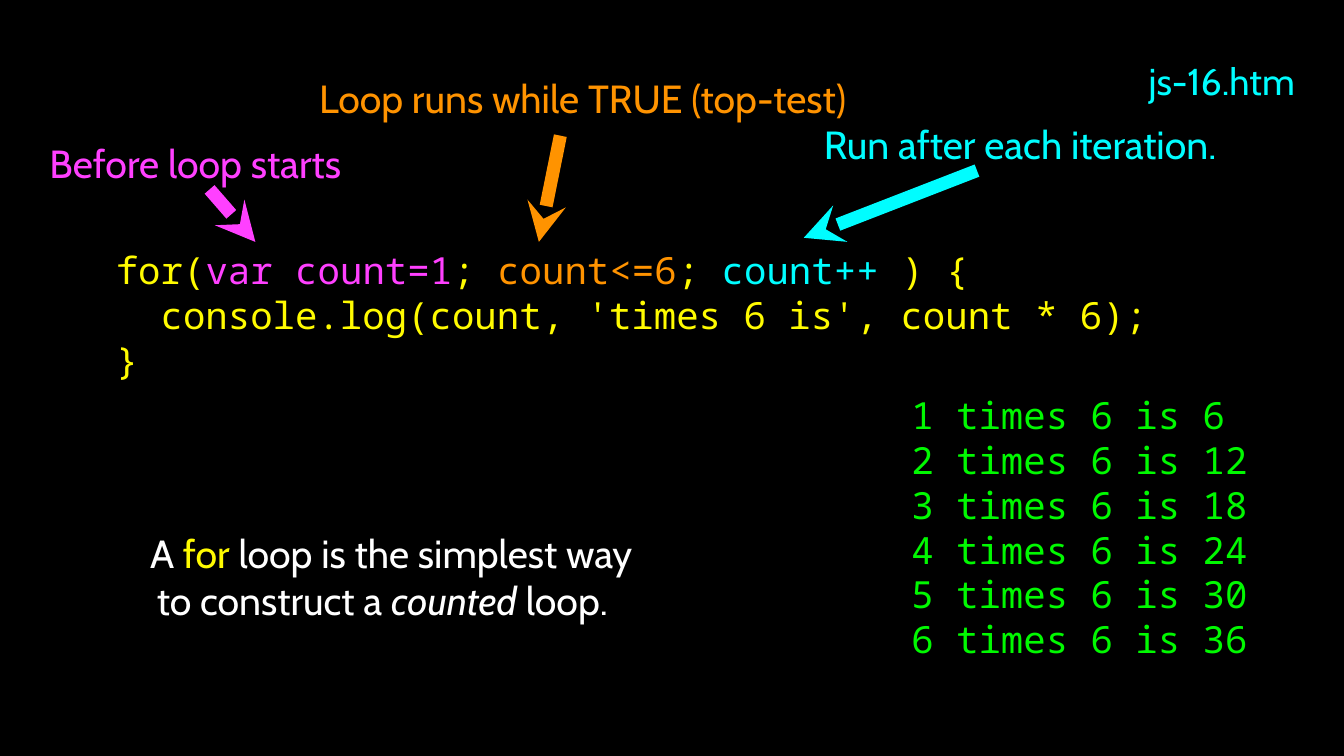
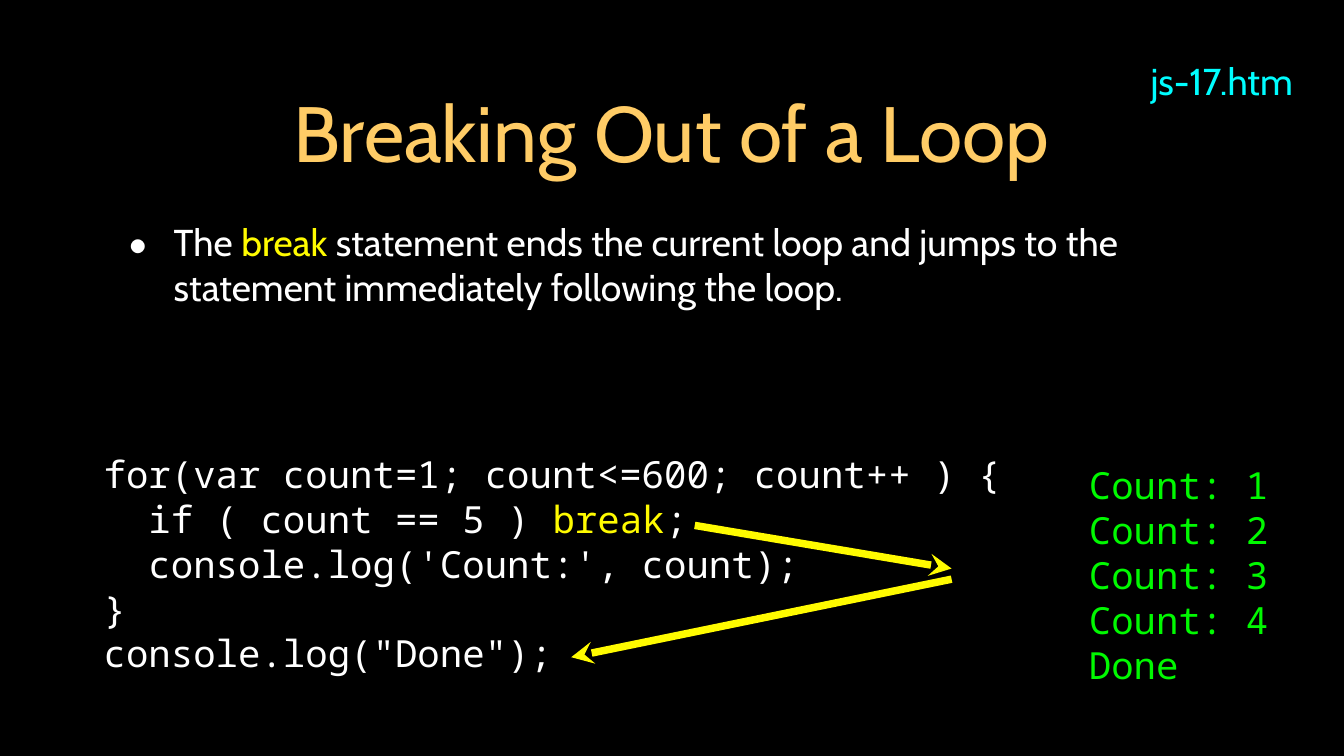
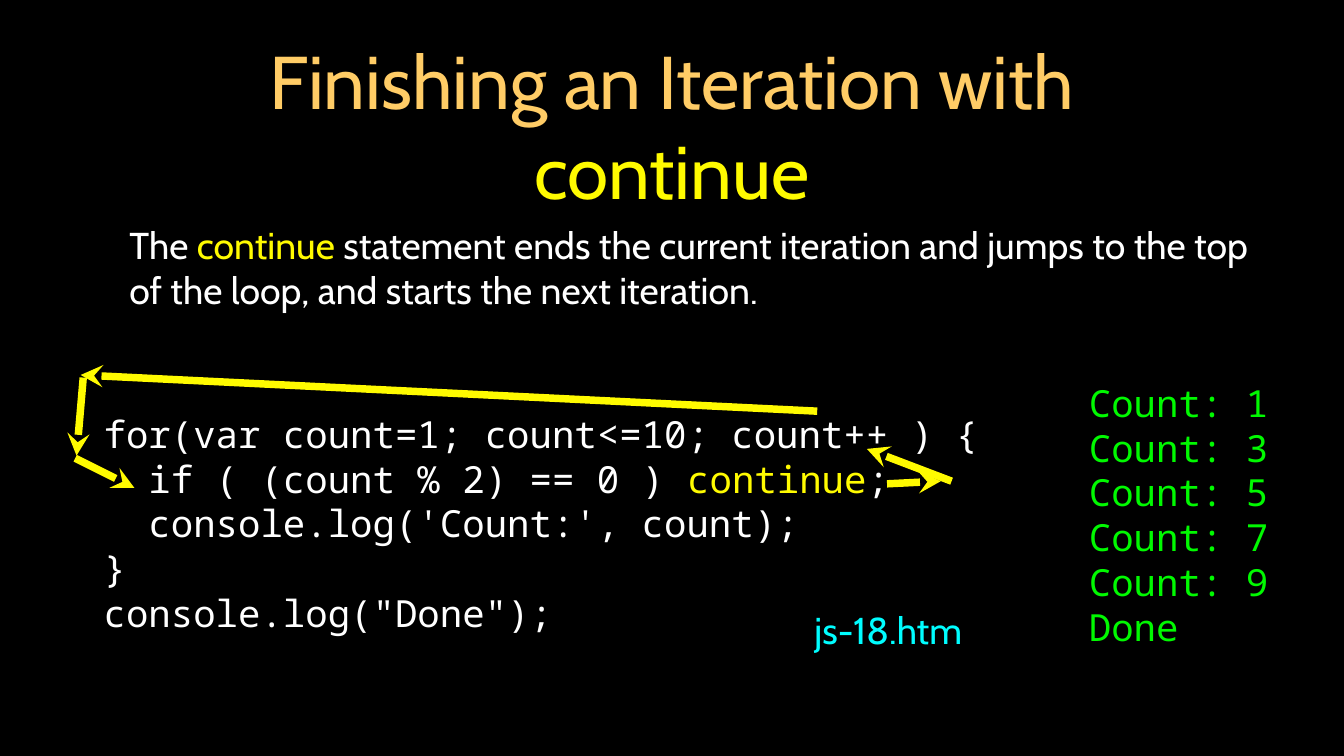
"""Build three slides on JavaScript for loops, break and continue."""
from lxml import etree
from pptx import Presentation
from pptx.dml.color import RGBColor
from pptx.enum.shapes import MSO_CONNECTOR, MSO_SHAPE
from pptx.enum.text import MSO_ANCHOR, MSO_AUTO_SIZE, PP_ALIGN
from pptx.oxml.ns import qn
from pptx.util import Pt

LEFT, CENTER = PP_ALIGN.LEFT, PP_ALIGN.CENTER
MIDDLE = MSO_ANCHOR.MIDDLE
NO_FIT = MSO_AUTO_SIZE.NONE
STRAIGHT = MSO_CONNECTOR.STRAIGHT
RECTANGLE = MSO_SHAPE.RECTANGLE
TITLE_ONLY, BLANK = 5, 6

COLORS = {
    "black": "000000", "white": "FFFFFF", "gold": "FFCC66", "yellow": "FFFB00",
    "green": "00F900", "magenta": "FF40FF", "orange": "FF9300", "cyan": "00FDFF",
}
PROSE, MONO = "Cabin", "Noto Sans Mono"

STYLES = {
    "title": {"font": PROSE, "size": 42, "color": "gold", "align": CENTER, "inset": 3},
    "body": {"font": PROSE, "size": 20, "color": "white", "inset": 3, "before": 19.8},
    "label": {"font": PROSE, "size": 21, "color": "white", "align": CENTER},
    "tag": {"font": PROSE, "size": 20, "color": "cyan", "align": CENTER},
    "code": {"font": MONO, "size": 20, "color": "white", "leading": 24},
    "output": {"font": MONO, "size": 20, "color": "green", "leading": 24},
}
BULLETED = {"margin": 33, "hanging": -24, "bullet": "•"}
PLAIN = {"margin": 9.4, "hanging": 0}
SLIDE_WIDTH, SLIDE_HEIGHT, BAND_HEIGHT = 720, 405, 29
LABEL_HEIGHT = 29.5
TAG_SIZE = (85, LABEL_HEIGHT)
TAG_CORNER = (612, 28.4)

LOG_COUNT = ["  console.log('Count:', count);"]
LOOP_END = [LOG_COUNT, ["}"], ["console.log(\"Done\");"]]


def counts(*numbers):
    """Return the console lines for the given counts."""
    return [[f"Count: {number}"] for number in numbers] + [["Done"]]


SLIDES = [
    {
        "texts": [
            ("output", (486.2, 207.2, 199.5, 150),
             [[f"{number} times 6 is {number * 6}"] for number in range(1, 7)], {}),
            ("label", (77.8, 281.5, 263.5, 54),
             [["A ", ("for ", "yellow"), "loop is the simplest way to construct a ",
               ("counted", "white", True), " loop.  "]], {}),
            ("label", (23.6, 72.7, 162, LABEL_HEIGHT),
             [["Before loop starts"]], {"color": "magenta"}),
            ("label", (167.8, 37.5, 288.7, LABEL_HEIGHT),
             [["Loop runs while TRUE (top-test)"]], {"color": "orange"}),
            ("label", (438.8, 62.3, 215.3, LABEL_HEIGHT),
             [["Run after each iteration."]], {"color": "cyan"}),
            ("code", (60, 117.8, 642.2, 101.5),
             [["for(", ("var count=1", "magenta"), "; ", ("count<=6", "orange"), "; ",
               ("count++", "cyan"), " ) {"],
              ["  console.log(count, 'times 6 is', count * 6);"],
              ["}"]], {"color": "yellow"}),
            ("tag", TAG_CORNER + TAG_SIZE, [["js-16.htm"]], {}),
        ],
        "arrow_width": 7,
        "arrows": [
            ((136.8, 129.6), (112.3, 101.5), "magenta"),
            ((288.7, 129.6), (300.2, 72.7), "orange"),
            ((430.6, 127.4), (523.4, 91.4), "cyan"),
        ],
    },
    {
        "texts": [
            ("code", (53.5, 239.2, 642.2, 125.3),
             [["for(var count=1; count<=600; count++ ) {"],
              ["  if ( count == 5 ) ", ("break", "yellow"), ";"]] + LOOP_END, {}),
            ("title", (51.1, 28.4, 617, 84.2), [["Breaking Out of a Loop"]], {}),
            ("body", (57.1, 99, 623.5, 85),
             [["The ", ("break", "yellow"),
               " statement ends the current loop and jumps to the statement "
               "immediately following the loop."]], BULLETED),
            ("output", (581.3, 245.1, 114.5, 125.3), counts(1, 2, 3, 4), {}),
            ("tag", TAG_CORNER + TAG_SIZE, [["js-17.htm"]], {}),
        ],
        "arrow_width": 4,
        "arrows": [
            ((306, 352.1), (509.8, 310.3), "yellow"),
            ((509.8, 304.6), (372.2, 281.5), "yellow"),
        ],
    },
    {
        "texts": [
            ("title", (67, 34.3, 586, 64.8),
             [["Finishing an Iteration with ", ("continue", "yellow")]], {"size": 40}),
            ("body", (56.9, 105.8, 623.5, 74.9),
             [["The ", ("continue", "yellow"),
               " statement ends the current iteration and jumps to the top of the loop, "
               "and starts the next iteration."]], PLAIN),
            ("code", (53.5, 208.5, 642.2, 143.3),
             [["for(var count=1; count<=10; count++ ) {"],
              ["  if ( (count % 2) == 0 ) ", ("continue", "yellow"), ";"]] + LOOP_END, {}),
            ("output", (581.3, 200.7, 114.5, 149.8), counts(1, 3, 5, 7, 9), {}),
            ("tag", (433.4, 322.3) + TAG_SIZE, [["js-18.htm"]], {}),
        ],
        "arrow_width": 4,
        "arrows": [
            ((504, 257.8), (475.2, 259.2), "yellow"),
            ((464.4, 240.5), (509.8, 257.8), "yellow"),
            ((43.2, 200.9), (437.8, 220.3), "yellow"),
            ((41, 244.1), (44.6, 202.3), "yellow"),
            ((72, 261.4), (40.3, 245.5), "yellow"),
        ],
    },
]


def color(name):
    """Return the named colour."""
    return RGBColor.from_string(COLORS[name])


def format_paragraph(paragraph, style):
    """Set alignment, spacing, indents and bullet."""
    paragraph.alignment = style.get("align", LEFT)
    paragraph.space_before = Pt(style.get("before", 0))
    if "leading" in style:
        paragraph.line_spacing = Pt(style["leading"])
    if "margin" in style:
        properties = paragraph._p.get_or_add_pPr()
        properties.set("marL", str(Pt(style["margin"])))
        properties.set("indent", str(Pt(style["hanging"])))
        if "bullet" in style:
            etree.SubElement(properties, qn("a:buSzPct"), val="171000")
            etree.SubElement(properties, qn("a:buFont"), typeface=style["font"])
            etree.SubElement(properties, qn("a:buChar"), char=style["bullet"])


def add_run(paragraph, part, style):
    """Add one run, given as text or as (text, colour, italic)."""
    if isinstance(part, str):
        part = (part, style["color"])
    run = paragraph.add_run()
    run.text = part[0]
    run.font.name = style["font"]
    run.font.size = Pt(style["size"])
    run.font.color.rgb = color(part[1])
    run.font.italic = len(part) > 2


def add_panel(slide, left, top, width, height):
    """Add an unfilled rectangular outline that holds text."""
    right, bottom = left + width, top + height
    builder = slide.shapes.build_freeform(left, top)
    builder.add_line_segments([(right, top), (right, bottom), (left, bottom)], close=True)
    panel = builder.convert_to_shape()
    panel.shadow.inherit = False
    panel.fill.background()
    panel.line.fill.background()
    return panel


def add_text(slide, kind, box, lines, changes):
    """Fill the title, a text box or a panel with styled lines."""
    style = {**STYLES[kind], **changes}
    left, top, width, height = (Pt(length) for length in box)
    if kind == "title":
        shape = slide.shapes.title
        shape.left, shape.top, shape.width, shape.height = left, top, width, height
    elif kind == "body":
        shape = slide.shapes.add_textbox(left, top, width, height)
    else:
        shape = add_panel(slide, left, top, width, height)
    frame = shape.text_frame
    frame.word_wrap = True
    frame.auto_size = NO_FIT
    frame.vertical_anchor = MIDDLE
    inset = Pt(style.get("inset", 2))
    frame.margin_left = frame.margin_right = inset
    frame.margin_top = frame.margin_bottom = inset
    for index, line in enumerate(lines):
        paragraph = frame.add_paragraph() if index else frame.paragraphs[0]
        format_paragraph(paragraph, style)
        for part in line:
            add_run(paragraph, part, style)


def add_arrow(slide, tip, tail, color_name, width):
    """Draw a straight arrow whose head is at the tip."""
    ends = [Pt(length) for length in tip + tail]
    arrow = slide.shapes.add_connector(STRAIGHT, *ends)
    arrow.line.color.rgb = color(color_name)
    arrow.line.width = Pt(width)
    etree.SubElement(arrow.line._get_or_add_ln(), qn("a:headEnd"), type="stealth")
    etree.SubElement(arrow._element.spPr, qn("a:effectLst"))


def move_band_to_master(slide, master):
    """Draw the bottom band and hand it to the master, which all slides share."""
    band = slide.shapes.add_shape(RECTANGLE, 0, Pt(SLIDE_HEIGHT - BAND_HEIGHT),
                                  Pt(SLIDE_WIDTH), Pt(BAND_HEIGHT))
    band.shadow.inherit = False
    band.fill.solid()
    band.fill.fore_color.rgb = color("black")
    band.line.fill.background()
    master.shapes._spTree.append(band._element)


def main():
    """Build and save the presentation."""
    presentation = Presentation()
    presentation.slide_width, presentation.slide_height = Pt(SLIDE_WIDTH), Pt(SLIDE_HEIGHT)
    master = presentation.slide_master
    background = master.background.fill
    background.solid()
    background.fore_color.rgb = color("black")
    for content in SLIDES:
        has_title = any(text[0] == "title" for text in content["texts"])
        layout = presentation.slide_layouts[TITLE_ONLY if has_title else BLANK]
        slide = presentation.slides.add_slide(layout)
        for text in content["texts"]:
            add_text(slide, *text)
        for arrow in content["arrows"]:
            add_arrow(slide, *arrow, content["arrow_width"])
    move_band_to_master(presentation.slides[0], master)
    presentation.save("out.pptx")


if __name__ == "__main__":
    main()
